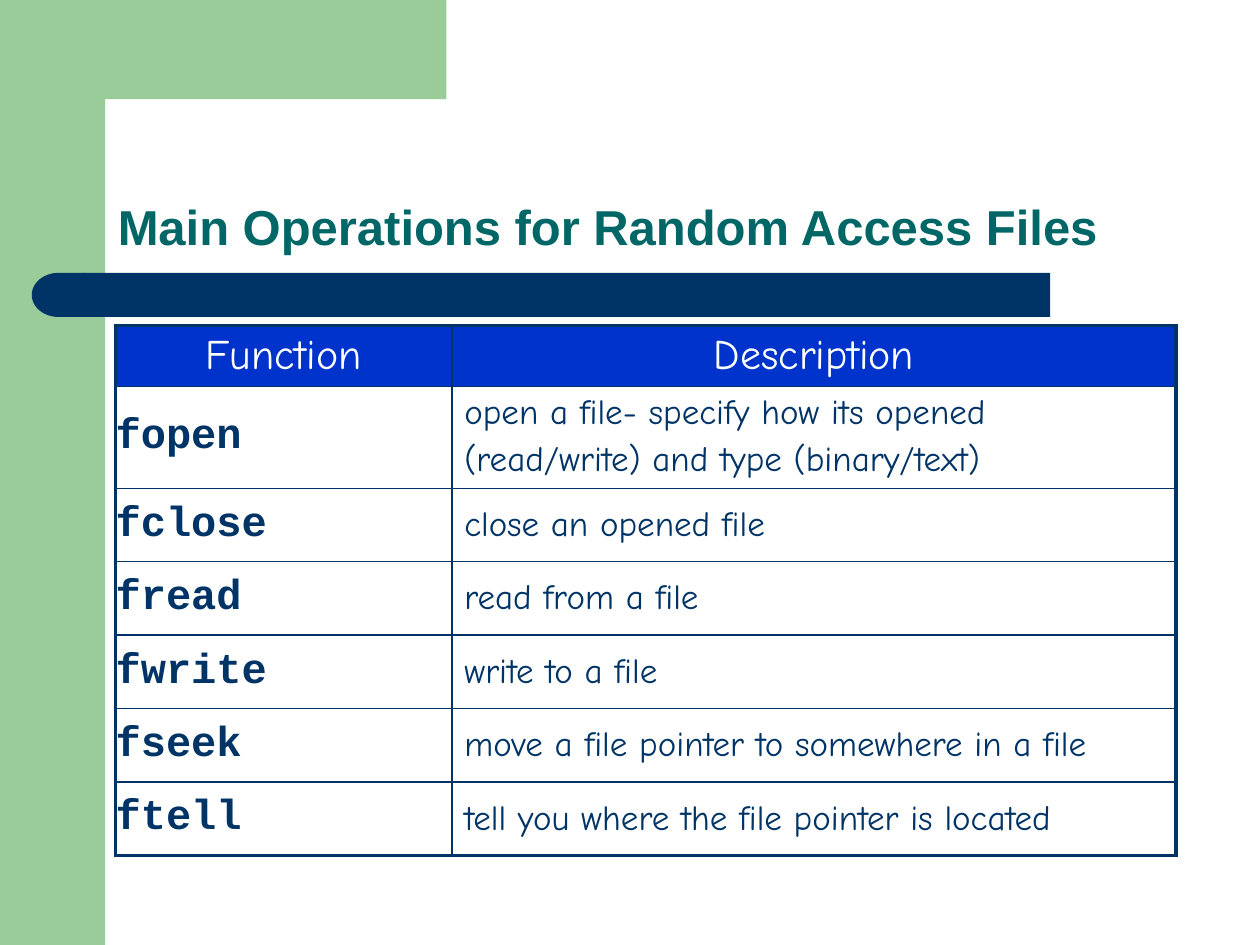
import dataclasses
import math

import lxml.etree
import pptx
import pptx.dml.color
import pptx.enum.shapes
import pptx.enum.text
import pptx.oxml.ns
import pptx.util

Cm = pptx.util.Cm
Pt = pptx.util.Pt
Align = pptx.enum.text.PP_ALIGN
Anchor = pptx.enum.text.MSO_ANCHOR
Preset = pptx.enum.shapes.MSO_SHAPE

COLOURS = {
    "green": "99CC99",
    "navy": "003366",
    "teal": "006666",
    "blue": "0033CC",
    "white": "FFFFFF",
}
SIDEBAR_WIDTH = 2.12
COLUMN_WIDTHS = (6.78, 14.6)
HEADER_HEIGHT, FIRST_HEIGHT, ROW_HEIGHT = 1.23, 2.05, 1.48
OUTER_LINE, INNER_LINE = 2.25, 1


@dataclasses.dataclass(frozen=True)
class Block:
    preset: int
    left: float
    top: float
    width: float
    height: float
    colour: str
    rotation: float = 0


@dataclasses.dataclass(frozen=True)
class CellStyle:
    font: dict
    colour: str
    fill: str | None = None
    align: int = Align.LEFT
    anchor: int = Anchor.MIDDLE
    margins: tuple[float, float] = (0.25, 0.13)


BLOCKS = (
    Block(Preset.RECTANGLE, 0, 0, SIDEBAR_WIDTH, 19.05, "green"),
    Block(Preset.RECTANGLE, 1.7, 5.5, 19.47, 0.89, "navy"),
    Block(Preset.FLOWCHART_DELAY, 0.64, 5.5, 1.08, 0.89, "navy", 180),
)
HEADER = CellStyle({"name": "Comic Neue", "size": Pt(24), "bold": False},
                   "white", "blue", Align.CENTER, Anchor.TOP)
NAME = CellStyle({"name": "Courier New", "size": Pt(24), "bold": True},
                 "navy", margins=(0, 0))
DESCRIPTION = CellStyle({"name": "Comic Neue", "size": Pt(20), "bold": False}, "navy")

HEADINGS = ("Function", "Description")
OPERATIONS = (
    ("fopen", "open a file- specify how its opened (read/write) and type (binary/text)"),
    ("fclose", "close an opened file"),
    ("fread", "read from a file"),
    ("fwrite", "write to a file"),
    ("fseek", "move a file pointer to somewhere in a file"),
    ("ftell", "tell you where the file pointer is located"),
)


def rgb(name: str) -> pptx.dml.color.RGBColor:
    return pptx.dml.color.RGBColor.from_string(COLOURS[name])


def apply(target, values: dict) -> None:
    """Set each named attribute of the target."""
    for name, value in values.items():
        setattr(target, name, value)


def paint(shape, colour: str) -> None:
    shape.shadow.inherit = False
    shape.fill.solid()
    shape.fill.fore_color.rgb = rgb(colour)
    shape.line.fill.background()


def draw_block(page, block: Block) -> None:
    shape = page.shapes.add_shape(block.preset, Cm(block.left), Cm(block.top),
                                  Cm(block.width), Cm(block.height))
    shape.rotation = block.rotation
    paint(shape, block.colour)


def draw_corner(page) -> None:
    """Draw the top band, which meets the sidebar in a rounded inner corner."""
    radius, steps = 0.84, 12
    centre = SIDEBAR_WIDTH + radius
    angles = [math.pi / 2 * step / steps for step in range(steps + 1)]
    curve = [(centre - radius * math.sin(angle), centre - radius * math.cos(angle))
             for angle in angles]
    outline = [(8.89, SIDEBAR_WIDTH), *curve, (SIDEBAR_WIDTH, 3.25), (1.27, 3.25), (1.27, 0)]
    builder = page.shapes.build_freeform(8.89, 0, scale=Cm(1))
    builder.add_line_segments(outline, close=True)
    paint(builder.convert_to_shape(), "green")


def write_title(page) -> None:
    title = page.shapes.title
    apply(title, {"left": Cm(2.12), "top": Cm(2.12), "width": Cm(22.01), "height": Cm(3.17)})
    title.text_frame.text = "Main Operations for Random Access Files"
    apply(title.text_frame, {"vertical_anchor": Anchor.BOTTOM, "word_wrap": True,
                             "auto_size": pptx.enum.text.MSO_AUTO_SIZE.NONE})
    para = title.text_frame.paragraphs[0]
    apply(para, {"alignment": Align.LEFT, "line_spacing": 0.9})
    apply(para.runs[0].font, {"name": "Arial", "size": Pt(28), "bold": True})
    para.runs[0].font.color.rgb = rgb("teal")


def add_border(cell, side: str, width: float) -> None:
    properties = cell._tc.get_or_add_tcPr()
    qn = pptx.oxml.ns.qn
    line = lxml.etree.SubElement(properties, qn(f"a:ln{side}"), w=str(Pt(width)))
    fill = lxml.etree.SubElement(line, qn("a:solidFill"))
    lxml.etree.SubElement(fill, qn("a:srgbClr"), val=COLOURS["navy"])


def fill_cell(cell, text: str, style: CellStyle) -> None:
    across, down = map(Cm, style.margins)
    apply(cell, {"margin_left": across, "margin_right": across, "margin_top": down,
                 "margin_bottom": down, "vertical_anchor": style.anchor})
    para = cell.text_frame.paragraphs[0]
    para.alignment = style.align
    span = para.add_run()
    span.text = text
    apply(span.font, style.font)
    span.font.color.rgb = rgb(style.colour)
    if style.fill:
        cell.fill.solid()
        cell.fill.fore_color.rgb = rgb(style.fill)
    else:
        cell.fill.background()


def draw_table(page) -> None:
    rows = (HEADINGS, *OPERATIONS)
    heights = [HEADER_HEIGHT, FIRST_HEIGHT] + [ROW_HEIGHT] * (len(rows) - 2)
    table = page.shapes.add_table(len(rows), len(HEADINGS), Cm(2.33), Cm(6.56),
                                  Cm(sum(COLUMN_WIDTHS)), Cm(sum(heights))).table
    for column, width in zip(table.columns, COLUMN_WIDTHS):
        column.width = Cm(width)
    for row, height in zip(table.rows, heights):
        row.height = Cm(height)

    last_row, last_column = len(rows) - 1, len(HEADINGS) - 1
    for r, texts in enumerate(rows):
        styles = (NAME, DESCRIPTION) if r else (HEADER, HEADER)
        for c, (text, style) in enumerate(zip(texts, styles)):
            cell = table.cell(r, c)
            edges = {"L": c == 0, "R": c == last_column, "T": r == 0, "B": r == last_row}
            for side, outer in edges.items():
                add_border(cell, side, OUTER_LINE if outer else INNER_LINE)
            fill_cell(cell, text, style)

    # A larger closing space makes the second line of the wrapped text taller.
    span = table.cell(1, 1).text_frame.paragraphs[0].add_run()
    span.text = " "
    apply(span.font, HEADER.font)


def main() -> None:
    deck = pptx.Presentation()
    apply(deck, {"slide_width": Cm(25.4), "slide_height": Cm(19.05)})
    page = deck.slides.add_slide(deck.slide_layouts.get_by_name("Title Only"))
    for block in BLOCKS:
        draw_block(page, block)
    draw_corner(page)
    write_title(page)
    draw_table(page)
    deck.save("out.pptx")


if __name__ == "__main__":
    main()
